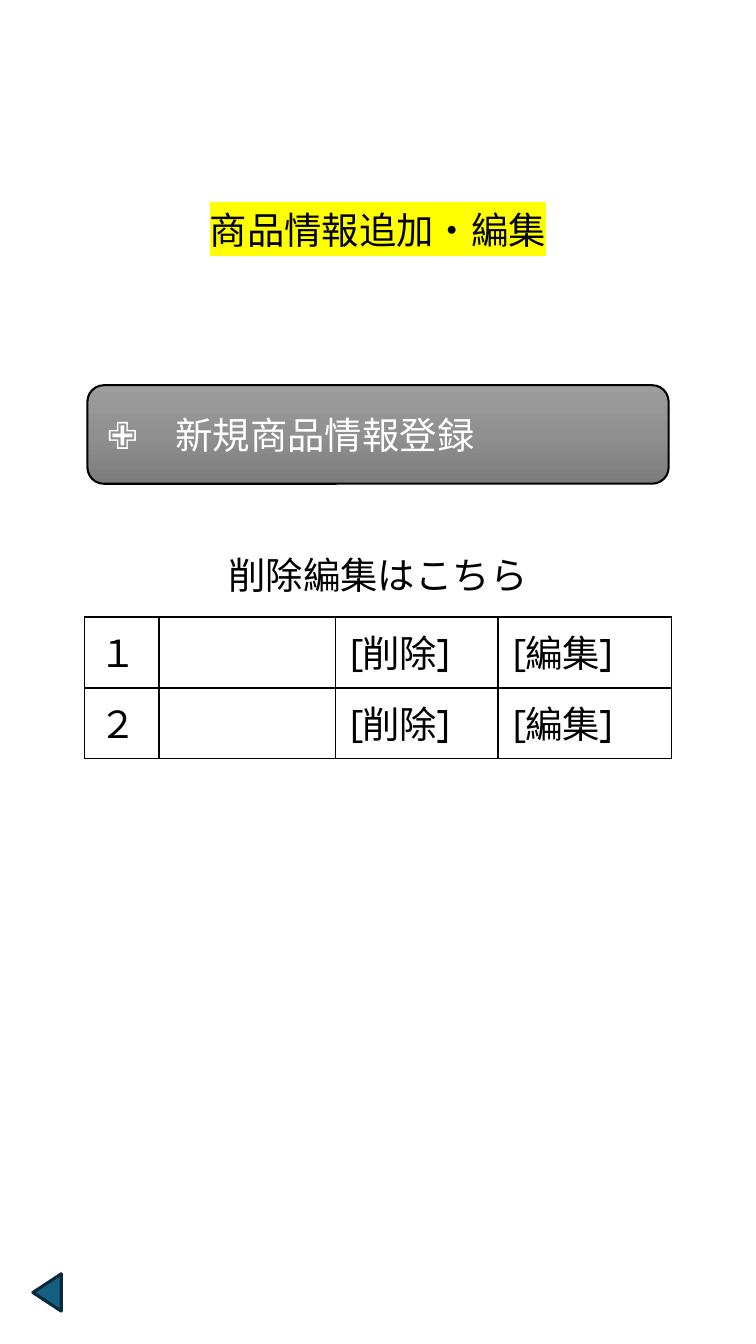
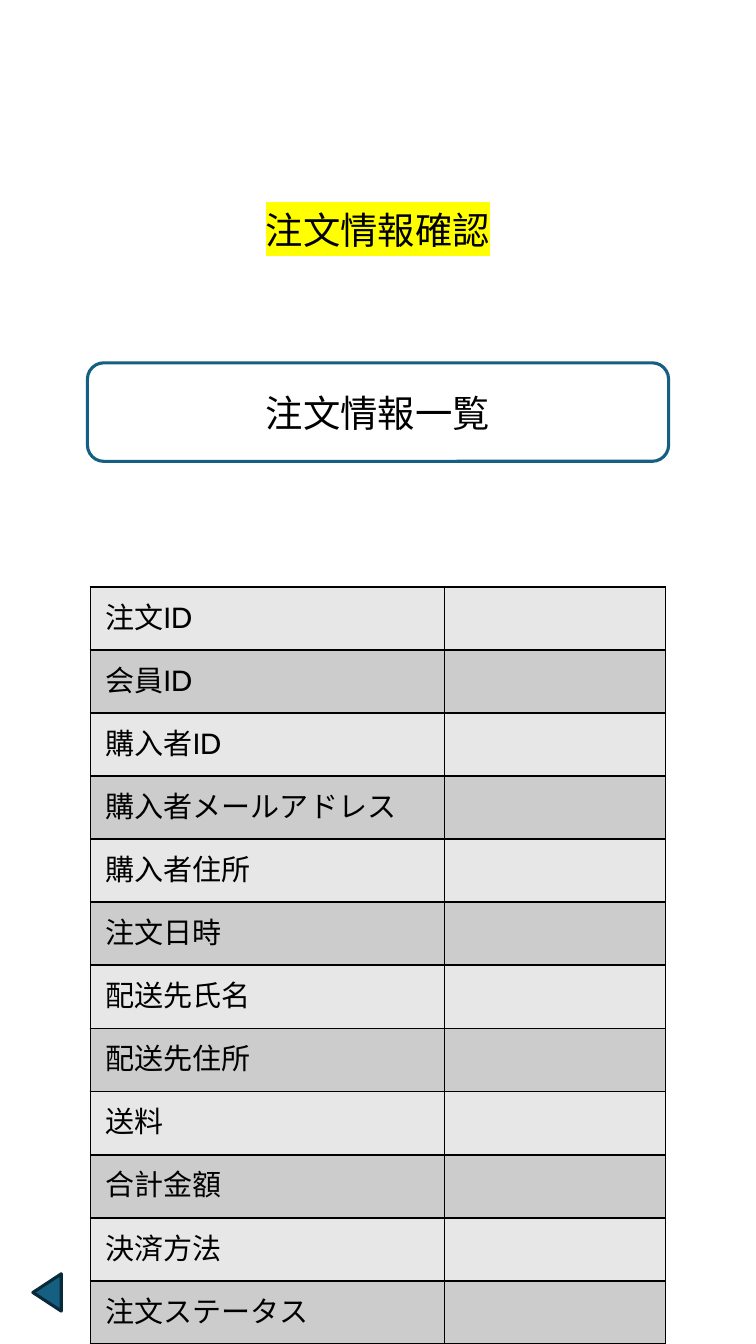
from dataclasses import dataclass

from lxml.etree import SubElement
from pptx import Presentation
from pptx.dml.color import RGBColor
from pptx.enum.shapes import MSO_SHAPE as Preset
from pptx.enum.text import MSO_ANCHOR as Anchor, MSO_AUTO_SIZE as AutoSize, PP_ALIGN as Align
from pptx.oxml.ns import qn
from pptx.util import Inches, Pt

PRODUCT = {
    "title": "商品情報追加・編集",
    "button": "✙\u3000新規商品情報登録",
    "caption": "削除編集はこちら",
    "rows": [(number, "", "[削除]", "[編集]") for number in "１２"],
}
ORDER = {
    "title": "注文情報確認",
    "button": "注文情報一覧",
    "rows": [(field, "") for field in (
        "注文ID", "会員ID", "購入者ID", "購入者メールアドレス", "購入者住所", "注文日時",
        "配送先氏名", "配送先住所", "送料", "合計金額", "決済方法", "注文ステータス")],
}


@dataclass(frozen=True)
class Theme:
    font: str = "Cabin"
    large: int = 18
    small: int = 14
    ink: str = "000000"
    paper: str = "FFFFFF"
    marker: str = "FFFF00"
    accent: str = "156082"
    accent_dark: str = "092A39"
    bands: tuple = ("E7E7E7", "CCCCCC")
    gradient: tuple = ((0, "9D9D9D"), (50, "909090"), (100, "7C7C7C"))
    thin: float = 1
    thick: float = 1.5


THEME = Theme()
WIDTH, HEIGHT = 5.06, 9
LABEL_SIZE = (3.63, 0.4)
BUTTON_SIZE = (3.89, 0.66)


def rgb(value):
    return RGBColor.from_string(value)


def centred(top, width, height):
    """Return a box centred across the slide."""
    return [Inches(length) for length in ((WIDTH - width) / 2, top, width, height)]


def add_color(parent, value):
    SubElement(parent, qn("a:srgbClr"), val=value)


def write(frame, text, size=THEME.large, color=THEME.ink, align=Align.LEFT, marker=None):
    paragraph = frame.paragraphs[0]
    paragraph.alignment = align
    run = paragraph.add_run()
    run.text = text
    run.font.size = Pt(size)
    run.font.name = THEME.font
    run.font.color.rgb = rgb(color)
    if marker:
        properties = run.font._element
        highlight = SubElement(properties, qn("a:highlight"))
        add_color(highlight, marker)
        properties.find(qn("a:solidFill")).addnext(highlight)


def add_preset(slide, preset, box, fill, line, weight):
    shape = slide.shapes.add_shape(preset, *box)
    shape.shadow.inherit = False
    if fill:
        shape.fill.solid()
        shape.fill.fore_color.rgb = rgb(fill)
    shape.line.color.rgb = rgb(line)
    shape.line.width = Pt(weight)
    return shape


def add_button(slide, top, text, align, color, fill, line, weight):
    button = add_preset(slide, Preset.ROUNDED_RECTANGLE, centred(top, *BUTTON_SIZE),
                        fill, line, weight)
    button.text_frame.vertical_anchor = Anchor.MIDDLE
    write(button.text_frame, text, color=color, align=align)
    return button


def shade(shape, stops):
    """Fill a shape with a gradient that runs from top to bottom."""
    shape.fill.gradient()
    shape.fill.gradient_angle = 270
    stop_list = shape._element.spPr.find(qn("a:gradFill")).find(qn("a:gsLst"))
    for stop in list(stop_list):
        stop_list.remove(stop)
    for position, color in stops:
        add_color(SubElement(stop_list, qn("a:gs"), pos=str(position * 1000)), color)


def add_caption(slide, top, text):
    frame = slide.shapes.add_textbox(*centred(top, *LABEL_SIZE)).text_frame
    frame.word_wrap = True
    write(frame, text, align=Align.CENTER)


def outline(cell):
    properties = cell._tc.get_or_add_tcPr()
    for side in ("lnL", "lnR", "lnT", "lnB"):
        border = SubElement(properties, qn(f"a:{side}"), w=str(Pt(THEME.thin)))
        add_color(SubElement(border, qn("a:solidFill")), THEME.ink)


def add_grid(slide, top, height, columns, rows, size, bands=None):
    box = centred(top, sum(columns), height)
    table = slide.shapes.add_table(len(rows), len(columns), *box).table
    table.first_row = table.horz_banding = False
    for column, width in zip(table.columns, columns):
        column.width = Inches(width)
    for row_index, values in enumerate(rows):
        table.rows[row_index].height = Inches(height / len(rows))
        for column_index, value in enumerate(values):
            cell = table.cell(row_index, column_index)
            outline(cell)
            if bands:
                cell.fill.solid()
                cell.fill.fore_color.rgb = rgb(bands[row_index % len(bands)])
            else:
                cell.fill.background()
            if value:
                write(cell.text_frame, value, size)


def add_page(presentation, title):
    """Add a slide with the shared highlighted title and back arrow."""
    slide = presentation.slides.add_slide(presentation.slide_layouts[5])
    heading = slide.shapes.title
    heading.left, heading.top, heading.width, heading.height = centred(1.34, *LABEL_SIZE)
    frame = heading.text_frame
    frame.auto_size = AutoSize.NONE
    frame.vertical_anchor = Anchor.TOP
    write(frame, title, align=Align.CENTER, marker=THEME.marker)
    box = [Inches(length) for length in (0.19, 8.56, 0.25, 0.19)]
    arrow = add_preset(slide, Preset.ISOSCELES_TRIANGLE, box, THEME.accent,
                       THEME.accent_dark, THEME.thick)
    arrow.rotation = 270
    return slide


def build_product(presentation):
    slide = add_page(presentation, PRODUCT["title"])
    button = add_button(slide, 2.58, PRODUCT["button"], Align.LEFT, THEME.paper,
                        None, THEME.ink, THEME.thin)
    shade(button, THEME.gradient)
    add_caption(slide, 3.65, PRODUCT["caption"])
    add_grid(slide, 4.13, 0.95, (0.5, 1.18, 1.09, 1.16), PRODUCT["rows"], THEME.large)


def build_order(presentation):
    slide = add_page(presentation, ORDER["title"])
    add_button(slide, 2.43, ORDER["button"], Align.CENTER, THEME.ink,
               THEME.paper, THEME.accent, THEME.thick)
    add_grid(slide, 3.93, HEIGHT - 3.93, (2.37, 1.48), ORDER["rows"], THEME.small, THEME.bands)


def main():
    presentation = Presentation()
    presentation.slide_width, presentation.slide_height = Inches(WIDTH), Inches(HEIGHT)
    build_product(presentation)
    build_order(presentation)
    presentation.save("out.pptx")


if __name__ == "__main__":
    main()
